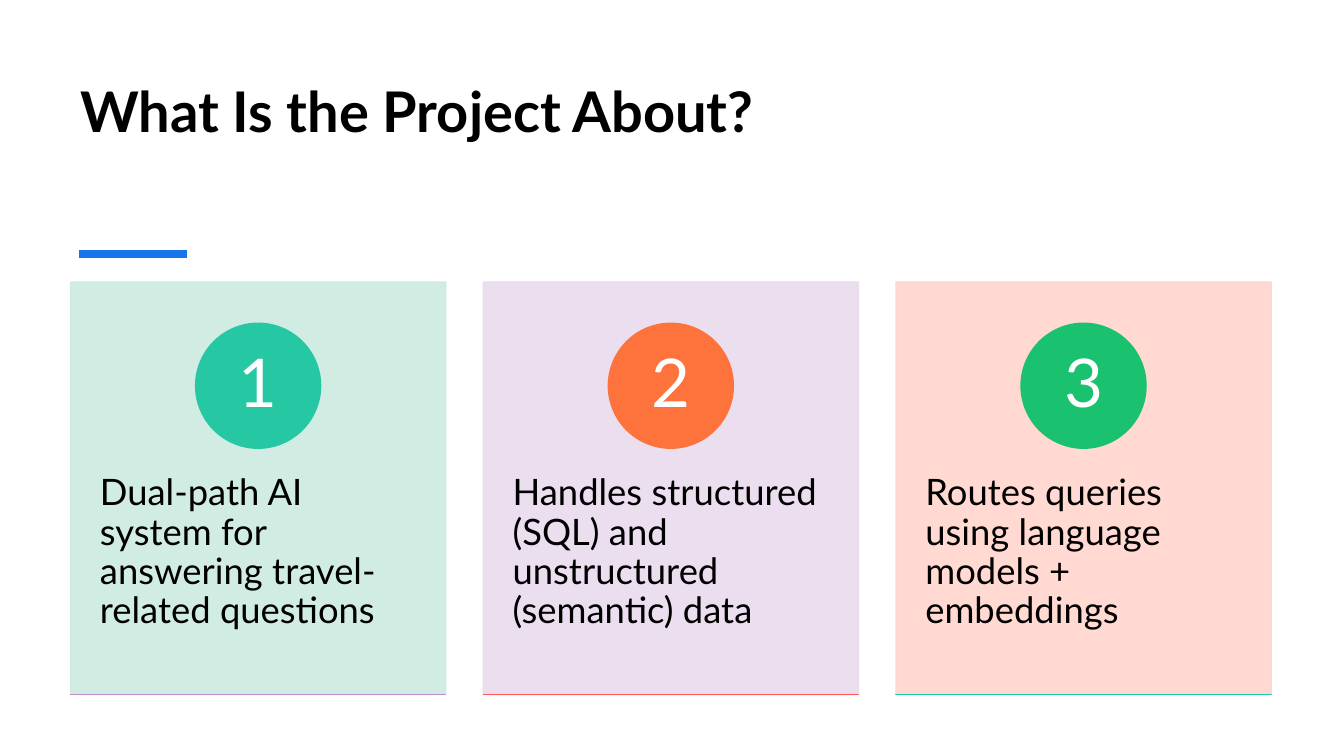
from dataclasses import dataclass

from lxml.etree import SubElement
from pptx import Presentation
from pptx.dml.color import RGBColor
from pptx.enum.shapes import MSO_CONNECTOR as Connector, MSO_SHAPE as Shape
from pptx.enum.text import MSO_ANCHOR as Anchor, PP_ALIGN as Align
from pptx.oxml.ns import qn
from pptx.util import Pt


@dataclass(frozen=True)
class Theme:
    font: str = "Lato"
    ink: str = "000000"
    paper: str = "FFFFFF"
    accent: str = "1973EB"
    title_size: int = 40
    number_size: int = 48
    caption_size: int = 26
    line_spacing: float = 0.9
    card_opacity: int = 90
    cards: tuple = ("CDEBE0", "E8DBEE", "FFD5CE")
    badges: tuple = ("25C8A2", "FE733C", "1AC16E")
    rules: tuple = ("BF8ED1", "FE5A5A", "25C8A2")


def apply(target, formats):
    for name, value in formats.items():
        setattr(target, name, value)


def margins(left, top, right, bottom):
    return {
        "margin_left": Pt(left),
        "margin_top": Pt(top),
        "margin_right": Pt(right),
        "margin_bottom": Pt(bottom),
    }


class SlideBuilder:
    def __init__(self, deck, theme):
        self.theme = theme
        self.slide = deck.slides.add_slide(deck.slide_layouts[5])

    def label(self, holder, text, frame_format, paragraph_format, size, color, bold=False):
        frame = holder.text_frame
        frame.text = text
        apply(frame, {"word_wrap": True, **frame_format})
        paragraph = frame.paragraphs[0]
        apply(paragraph, paragraph_format)
        font = paragraph.runs[0].font
        apply(font, {"name": self.theme.font, "size": Pt(size), "bold": bold})
        font.color.rgb = RGBColor.from_string(color)

    def title(self, text, box):
        heading = self.slide.shapes.title
        apply(heading, dict(zip(("left", "top", "width", "height"), map(Pt, box))))
        self.label(
            heading, text,
            {"vertical_anchor": Anchor.BOTTOM, **margins(7.2, 3.6, 7.2, 51.6)},
            {"alignment": Align.LEFT, "line_spacing": 1.0},
            self.theme.title_size, self.theme.ink, bold=True,
        )

    def line(self, left, y, right, width):
        stroke = self.slide.shapes.add_connector(
            Connector.STRAIGHT, Pt(left), Pt(y), Pt(right), Pt(y))
        stroke.line.color.rgb = RGBColor.from_string(self.theme.accent)
        stroke.line.width = Pt(width)
        SubElement(stroke._element.spPr, qn("a:effectLst"))

    def shape(self, kind, box, color, opacity=100):
        figure = self.slide.shapes.add_shape(kind, *map(Pt, box))
        figure.shadow.inherit = False
        figure.fill.solid()
        figure.line.width = Pt(1)
        for paint in (figure.fill.fore_color, figure.line.color):
            paint.rgb = RGBColor.from_string(color)
        if opacity < 100:
            for tint in list(figure._element.spPr.iter(qn("a:srgbClr"))):
                SubElement(tint, qn("a:alpha"), val=str(opacity * 1000))
        return figure

    def card(self, index, caption, left, top, width, height):
        theme = self.theme
        panel = self.shape(
            Shape.RECTANGLE, (left, top, width, height),
            theme.cards[index], theme.card_opacity)
        self.label(
            panel, caption,
            {"vertical_anchor": Anchor.TOP, **margins(21, 137.5, 21, 26)},
            {"alignment": Align.LEFT, "line_spacing": theme.line_spacing},
            theme.caption_size, theme.ink,
        )
        diameter = 89.3
        badge = self.shape(
            Shape.OVAL,
            (left + (width - diameter) / 2, top + 29.5, diameter, diameter),
            theme.badges[index])
        self.label(
            badge, str(index + 1),
            {"vertical_anchor": Anchor.MIDDLE, **margins(7, 1, 7, 1)},
            {"alignment": Align.CENTER, "line_spacing": theme.line_spacing},
            theme.number_size, theme.paper,
        )
        self.shape(
            Shape.RECTANGLE, (left, top + height, width, 0.01), theme.rules[index])


def main():
    deck = Presentation()
    apply(deck, {"slide_width": Pt(960), "slide_height": Pt(540)})
    builder = SlideBuilder(deck, Theme())
    builder.title("What Is the Project About?", (50.4, 44.6, 857.5, 109.5))
    builder.line(56.2, 181.6, 133.4, 6)

    captions = (
        "Dual-path AI system for answering travel-related questions",
        "Handles structured (SQL) and unstructured (semantic) data",
        "Routes queries using language models + embeddings",
    )
    first_left, card_width, pitch = 50.4, 268, 294.8
    for index, caption in enumerate(captions):
        builder.card(index, caption, first_left + index * pitch, 201.4, card_width, 294.6)

    deck.save("out.pptx")


if __name__ == "__main__":
    main()
